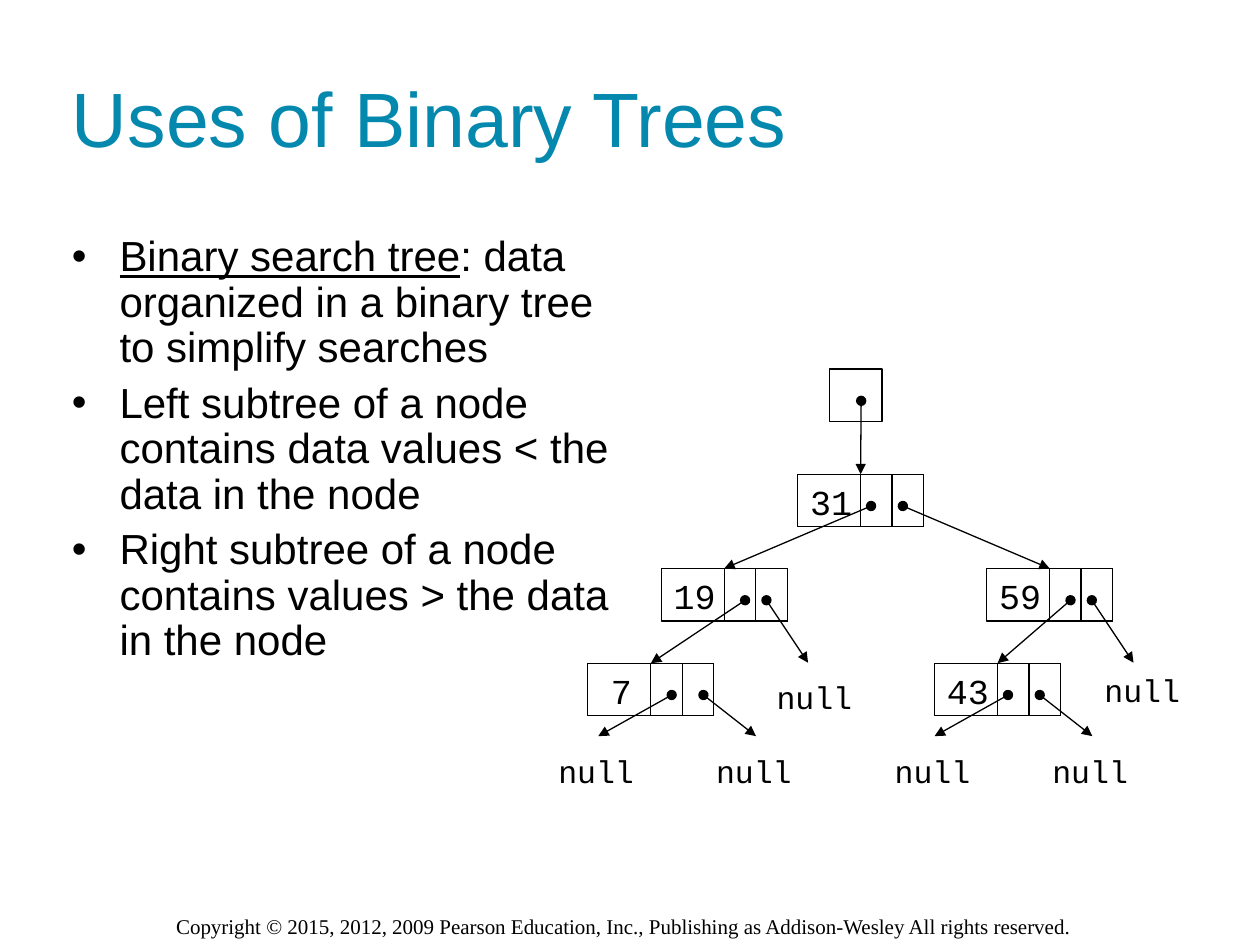
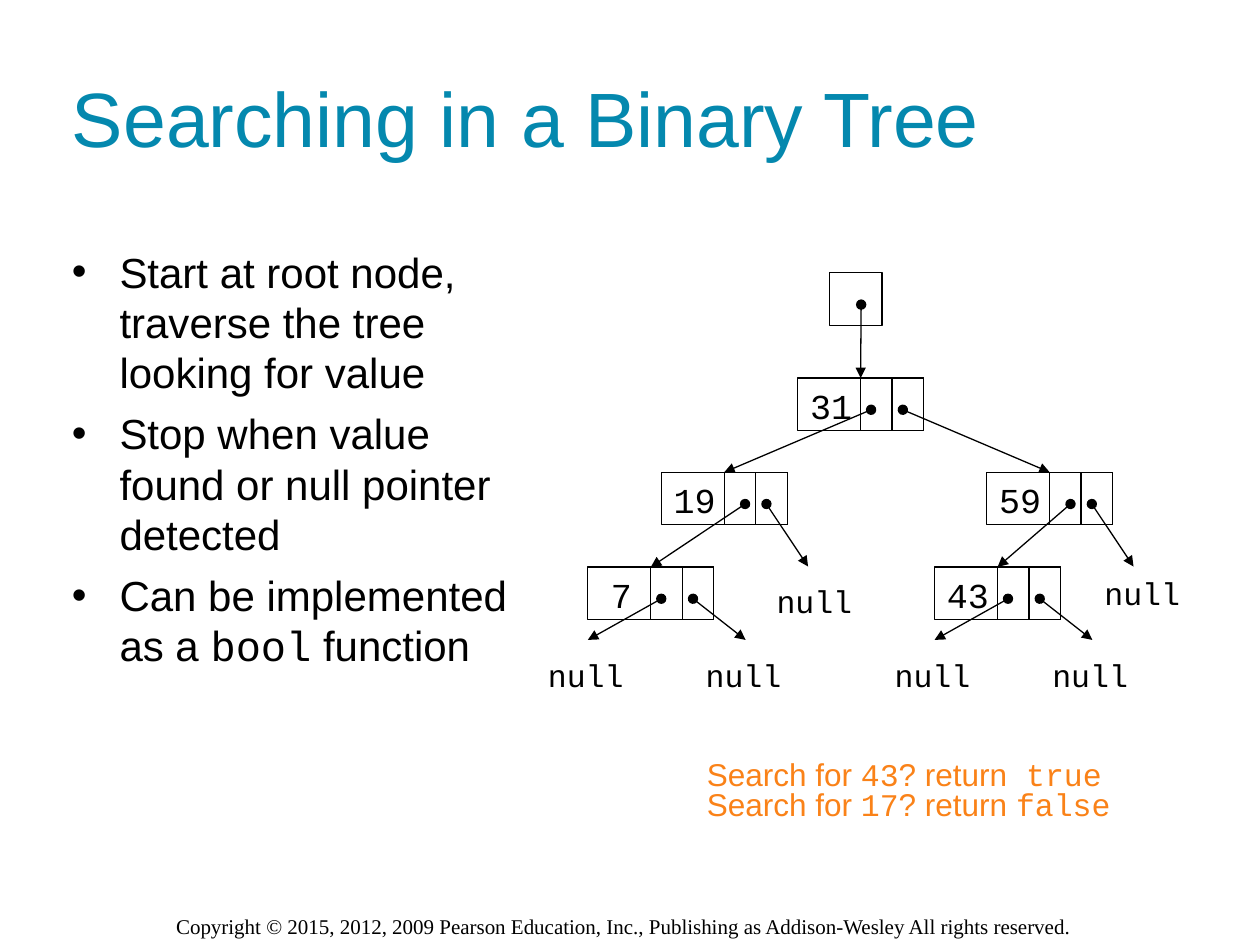
from dataclasses import dataclass

from lxml import etree
from pptx import Presentation
from pptx.dml.color import RGBColor
from pptx.enum.shapes import MSO_CONNECTOR, MSO_SHAPE
from pptx.enum.text import MSO_ANCHOR, MSO_AUTO_SIZE, PP_ALIGN
from pptx.oxml.ns import qn
from pptx.util import Cm, Pt

RECTANGLE = MSO_SHAPE.RECTANGLE
STRAIGHT = MSO_CONNECTOR.STRAIGHT
TOP, MIDDLE = MSO_ANCHOR.TOP, MSO_ANCHOR.MIDDLE
LEFT, CENTER = PP_ALIGN.LEFT, PP_ALIGN.CENTER
NO_AUTOFIT = MSO_AUTO_SIZE.NONE
TITLE_ONLY = 5


@dataclass(frozen=True)
class Theme:
    black: str = "000000"
    blue: str = "0488AE"
    orange: str = "FA8218"
    sans: str = "Arial"
    mono: str = "Courier New"
    serif: str = "Times New Roman"
    title: int = 44
    body: int = 24
    value: int = 20
    label: int = 18
    footer: int = 12
    line: float = 0.75


THEME = Theme()
CODE = {"font": THEME.mono}

# Page regions: left, top, width, height in centimetres
TITLE_BOX = (1.27, 0.76, 22.86, 3.18)
FOOTER_BOX = (3.3, 18.29, 18.85, 0.76)
ANSWER_BOX = (14, 15.24, 8.64, 1.47)
TREE_LEFT = 11.85

COPYRIGHT = ("Copyright © 2015, 2012, 2009 Pearson Education, Inc., "
             "Publishing as Addison-Wesley All rights reserved.")

# Node measures in centimetres
NODE_WIDTH, NODE_HEIGHT = 2.54, 1.06
VALUE_WIDTH, POINTER_WIDTH = 1.27, 0.635
LEVEL_TOPS = (0, 2.12, 4.02, 5.93)
DOT_DROP, LEAF_DROP, LEVEL_DROP = 0.64, 1.47, 1.9
LABEL_WIDTH, LABEL_HEIGHT = 2.03, 1.02


@dataclass(frozen=True)
class Null:
    """Where a null pointer ends, and where its label is from there."""
    tip: tuple
    label: tuple = (-0.04, 0.2)


@dataclass(frozen=True)
class Node:
    left: float
    level: int
    children: tuple
    dots: tuple = (1.48, 2.12)


LEAF = (Null((0, LEAF_DROP)), Null((3.18, LEAF_DROP)))
INNER_NULL_TIP = (2.96, LEVEL_DROP)
NODES = {
    "31": Node(4.23, 1, ("19", "59")),
    "19": Node(1.48, 2, ("7", Null(INNER_NULL_TIP, (0.13, 0.18))), (1.69, 2.12)),
    "59": Node(8.04, 2, ("43", Null(INNER_NULL_TIP, (0.18, 0.03))), (1.69, 2.12)),
    "7": Node(0, 3, LEAF),
    "43": Node(6.99, 3, LEAF),
}


def add_bullet(para):
    properties = para._p.get_or_add_pPr()
    properties.set("marL", str(Cm(0.96)))
    properties.set("indent", str(-Cm(0.96)))
    color = etree.SubElement(properties, qn("a:buClr"))
    etree.SubElement(color, qn("a:srgbClr"), val=THEME.black)
    etree.SubElement(properties, qn("a:buFont"), typeface=THEME.sans)
    etree.SubElement(properties, qn("a:buChar"), char="•")


def write_text(shape, paragraphs, *, size, font=THEME.sans, color=THEME.black,
               align=LEFT, anchor=TOP, wrap=True, inset=(0.25, 0.13),
               bullets=False, spacing=None, before=0):
    """Each paragraph is a list of runs: a string, or a string and its format."""
    frame = shape.text_frame
    frame.auto_size = NO_AUTOFIT
    frame.word_wrap = wrap
    frame.vertical_anchor = anchor
    frame.margin_left = frame.margin_right = Cm(inset[0])
    frame.margin_top = frame.margin_bottom = Cm(inset[1])
    for index, runs in enumerate(paragraphs):
        para = frame.add_paragraph() if index else frame.paragraphs[0]
        if bullets:
            add_bullet(para)
        para.alignment = align
        para.space_before = Pt(before if index else 0)
        if spacing:
            para.line_spacing = spacing
        for run in runs:
            text, style = (run, {}) if isinstance(run, str) else run
            span = para.add_run()
            span.text = text
            span.font.size = Pt(size)
            span.font.name = style.get("font", font)
            span.font.underline = style.get("underline")
            span.font.color.rgb = RGBColor.from_string(color)


def add_text(page, box, paragraphs, **style):
    shape = page.shapes.add_textbox(*map(Cm, box))
    write_text(shape, paragraphs, **style)


def add_cell(page, left, top, width):
    cell = page.shapes.add_shape(RECTANGLE, Cm(left), Cm(top), Cm(width), Cm(NODE_HEIGHT))
    cell.shadow.inherit = False
    cell.fill.background()
    cell.line.color.rgb = RGBColor.from_string(THEME.black)
    cell.line.width = Pt(THEME.line)


def add_pointer(page, start, end):
    pointer = page.shapes.add_connector(STRAIGHT, *map(Cm, (*start, *end)))
    pointer.line.color.rgb = RGBColor.from_string(THEME.black)
    pointer.line.width = Pt(THEME.line)
    line = pointer.line._get_or_add_ln()
    etree.SubElement(line, qn("a:headEnd"), type="oval")
    etree.SubElement(line, qn("a:tailEnd"), type="triangle")
    etree.SubElement(pointer._element.spPr, qn("a:effectLst"))


def add_null_label(page, tip, shift):
    left = tip[0] + shift[0] - LABEL_WIDTH / 2
    add_text(page, (left, tip[1] + shift[1], LABEL_WIDTH, LABEL_HEIGHT), [["null"]],
             size=THEME.label, font=THEME.mono, wrap=False)


def add_node(page, value, tree_left, tree_top, shift):
    """Draws one node with its two pointers; shift moves the pointers sideways."""
    node = NODES[value]
    left, top = tree_left + node.left, tree_top + LEVEL_TOPS[node.level]
    # Outline and pointer cells
    add_cell(page, left, top, NODE_WIDTH)
    for index in range(2):
        add_cell(page, left + VALUE_WIDTH + index * POINTER_WIDTH, top, POINTER_WIDTH)
    add_text(page, (left, top, 1.35, 1.12), [[value]], size=THEME.value,
             font=THEME.mono, align=CENTER, wrap=False)
    # Pointers to children or to null
    for dot, child in zip(node.dots, node.children):
        start = (left + dot + shift, top + DOT_DROP)
        if isinstance(child, Null):
            end = (left + child.tip[0] + shift, top + child.tip[1])
            add_null_label(page, end, child.label)
        else:
            target = NODES[child]
            end = (tree_left + target.left + NODE_WIDTH / 2,
                   tree_top + LEVEL_TOPS[target.level])
        add_pointer(page, start, end)


def add_tree(page, left, top, shifts):
    # Root pointer
    root_left = left + 4.87
    add_cell(page, root_left, top, NODE_HEIGHT)
    add_pointer(page, (root_left + DOT_DROP, top + DOT_DROP),
                (left + NODES["31"].left + NODE_WIDTH / 2, top + LEVEL_TOPS[1]))
    for value in NODES:
        add_node(page, value, left, top, shifts.get(value, 0))


def add_page(deck, title, body_box, points, tree_top, spacing=None, shifts=None):
    page = deck.slides.add_slide(deck.slide_layouts[TITLE_ONLY])
    # Footer
    add_text(page, FOOTER_BOX, [[COPYRIGHT]], size=THEME.footer, font=THEME.serif)
    # Title
    heading = page.shapes.title
    heading.left, heading.top, heading.width, heading.height = map(Cm, TITLE_BOX)
    write_text(heading, [[title]], size=THEME.title, color=THEME.blue,
               anchor=MIDDLE, inset=(0.18, 0.13))
    # Bullet points
    add_text(page, body_box, points, size=THEME.body, inset=(0.18, 0.13),
             bullets=True, spacing=spacing, before=6)
    # Diagram
    add_tree(page, TREE_LEFT, tree_top, shifts or {})
    return page


def add_answers(page, box):
    answers = [
        ["Search for ", ("43", CODE), "? return", (" true", CODE)],
        ["Search for ", ("17", CODE), "? return ", ("false", CODE)],
    ]
    add_text(page, box, answers, size=THEME.label, color=THEME.orange,
             wrap=False, spacing=0.8)


def main():
    deck = Presentation()
    deck.slide_width, deck.slide_height = Cm(25.4), Cm(19.05)
    add_page(
        deck, "Uses of Binary Trees", (1.27, 4.62, 11.23, 11.05),
        [
            [("Binary search tree", {"underline": True}),
             ": data organized in a binary tree to simplify searches"],
            ["Left subtree of a node contains data values < the data in the node"],
            ["Right subtree of a node contains values > the data in the node"],
        ],
        tree_top=7.44, spacing=0.9, shifts={"7": 0.21})
    search_page = add_page(
        deck, "Searching in a Binary Tree", (1.27, 4.83, 9.53, 10.29),
        [
            ["Start at root node, traverse the tree looking for value"],
            ["Stop when value found or null pointer detected"],
            ["Can be implemented as a ", ("bool", CODE), " function"],
        ],
        tree_top=5.5)
    add_answers(search_page, ANSWER_BOX)
    deck.save("out.pptx")


if __name__ == "__main__":
    main()
